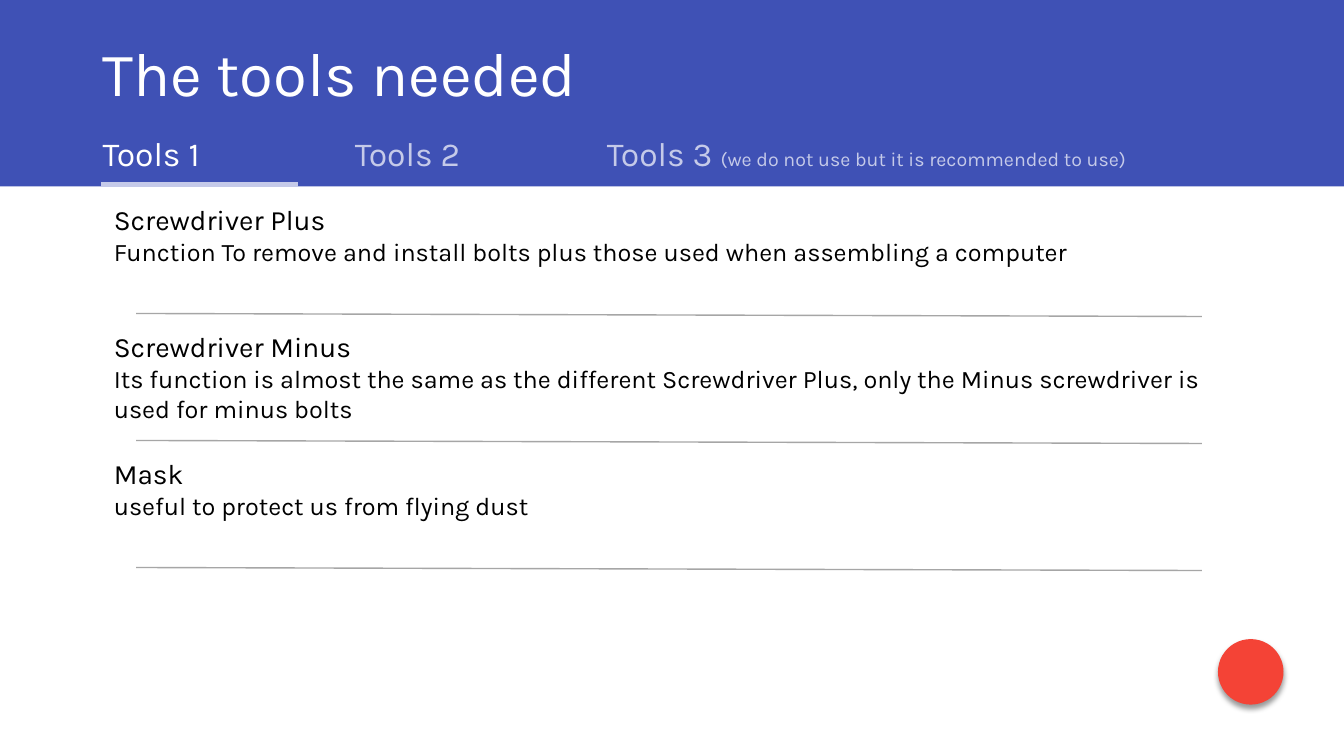
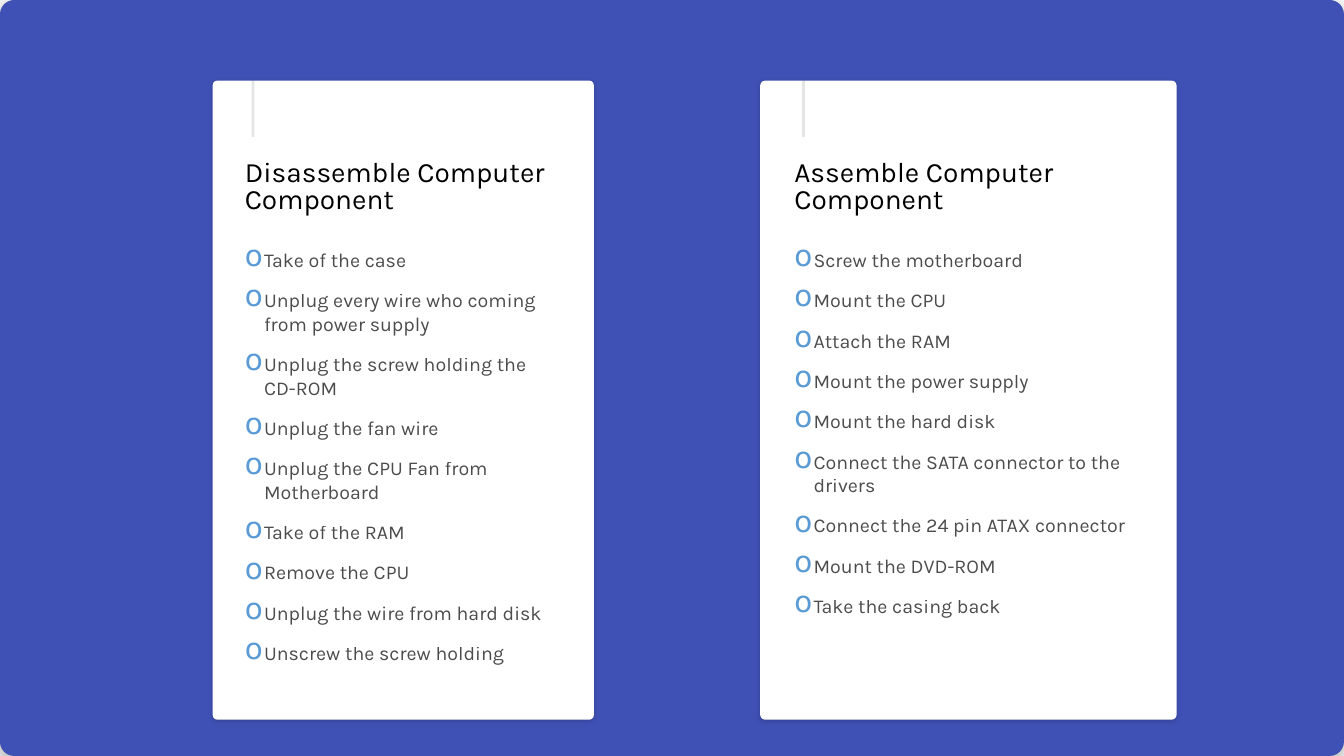
"""Build two slides on computer assembly: the tools needed, and the two step lists."""
from dataclasses import dataclass

from lxml.etree import SubElement
from pptx import Presentation
from pptx.dml.color import RGBColor as Rgb
from pptx.enum.shapes import MSO_CONNECTOR as Link, MSO_SHAPE as Shape
from pptx.enum.text import MSO_ANCHOR as Anchor, MSO_AUTO_SIZE as AutoSize
from pptx.oxml.ns import qn
from pptx.util import Inches, Pt


@dataclass(frozen=True)
class Theme:
    """Colours, font and type sizes of the deck."""
    font: str = "Karla"
    indigo: str = "3F51B5"
    pale: str = "C5CAE9"
    red: str = "F44336"
    bullet: str = "5B9BD5"
    rule: str = "A6A6A6"
    white: str = "FFFFFF"
    black: str = "000000"
    title: int = 44
    tab: int = 24
    heading: int = 20
    body: int = 18
    small: int = 14


T = Theme()
WIDTH, HEIGHT = 13.33, 7.5

TITLE = "The tools needed"
TABS = [
    ("Tools 1", "", 2.29),
    ("Tools 2", "", 2.29),
    ("Tools 3 ", "(we do not use but it is recommended to use)", 7.4),
]
TOOLS = [
    ("Screwdriver Plus",
     "Function To remove and install bolts plus those used when assembling a computer", 0.74),
    ("Screwdriver Minus",
     "Its function is almost the same as the different Screwdriver Plus, "
     "only the Minus screwdriver is used for minus bolts", 1.04),
    ("Mask", "useful to protect us from flying dust", 0.74),
]
CARDS = [
    dict(left=2.11, width=3.78, text_left=2.33, list_width=3.29, mark=2.51,
         heading="Disassemble Computer Component",
         steps=["Take of the case", "Unplug every wire who coming from power supply",
                "Unplug the screw holding the CD-ROM", "Unplug the fan wire",
                "Unplug the CPU Fan from Motherboard", "Take of the RAM", "Remove the CPU",
                "Unplug the wire from hard disk", "Unscrew the screw holding"]),
    dict(left=7.54, width=4.13, text_left=7.78, list_width=3.59, mark=7.97,
         heading="Assemble Computer Component",
         steps=["Screw the motherboard", "Mount the CPU", "Attach the RAM",
                "Mount the power supply", "Mount the hard disk",
                "Connect the SATA connector to the drivers",
                "Connect the 24 pin ATAX connector", "Mount the DVD-ROM",
                "Take the casing back"]),
]


def set_opacity(element, percent):
    color = next(element.iter(qn("a:srgbClr")))
    SubElement(color, qn("a:alpha"), val=str(percent * 1000))


def add_block(shapes, kind, box, fill, shadow=None, corner=None):
    block = shapes.add_shape(kind, *map(Inches, box))
    block.fill.solid()
    block.fill.fore_color.rgb = Rgb.from_string(fill)
    block.line.fill.background()
    block.shadow.inherit = False
    if corner is not None:
        block.adjustments[0] = corner
    if shadow:
        opacity, blur, distance = shadow
        effects = block.element.spPr.find(qn("a:effectLst"))
        outer = SubElement(effects, qn("a:outerShdw"), blurRad=str(Pt(blur)),
                           dist=str(Pt(distance)), dir="5400000", algn="t", rotWithShape="0")
        SubElement(outer, qn("a:srgbClr"), val=T.black)
        set_opacity(outer, opacity)


def add_rule(shapes, start, end, color, weight, opacity=None):
    rule = shapes.add_connector(Link.STRAIGHT, *map(Inches, start + end))
    rule.line.color.rgb = Rgb.from_string(color)
    rule.line.width = Pt(weight)
    if opacity:
        set_opacity(rule.element.spPr, opacity)
    SubElement(rule.element.spPr, qn("a:effectLst"))


def add_text(shapes, box, paragraphs, color, spacing=None, grow=False, anchor=Anchor.TOP,
             bulleted=False, opacity=None):
    """Write paragraphs, each a list of (text, size) runs."""
    frame = shapes.add_textbox(*map(Inches, box)).text_frame
    frame.word_wrap = True
    frame.vertical_anchor = anchor
    frame.auto_size = AutoSize.SHAPE_TO_FIT_TEXT if grow else AutoSize.NONE
    for index, runs in enumerate(paragraphs):
        paragraph = frame.paragraphs[0] if index == 0 else frame.add_paragraph()
        if spacing:
            paragraph.line_spacing = spacing
        if bulleted:
            if index:
                paragraph.space_before = Pt(12)
            add_bullet(paragraph)
        for text, size in runs:
            run = paragraph.add_run()
            run.text = text
            run.font.name = T.font
            run.font.size = Pt(size)
            run.font.color.rgb = Rgb.from_string(color)
            if opacity:
                set_opacity(run._r, opacity)


def add_bullet(paragraph):
    properties = paragraph._p.get_or_add_pPr()
    properties.set("marL", str(Inches(0.19)))
    properties.set("indent", str(Inches(-0.19)))
    color = SubElement(properties, qn("a:buClr"))
    SubElement(color, qn("a:srgbClr"), val=T.bullet)
    SubElement(properties, qn("a:buSzPct"), val="150000")
    SubElement(properties, qn("a:buChar"), char="o")


def build_tools(shapes):
    for index, (name, use, height) in enumerate(TOOLS):
        top = 1.96 + 1.26 * index
        entry = shapes.add_group_shape().shapes
        add_text(entry, (1.03, top, 11.39, height),
                 [[(name, T.heading)], [(use, T.body)]], T.black, grow=True)
        add_rule(entry, (1.35, top + 1.15), (11.92, top + 1.18), T.rule, 1)
    for top, height in ((1.18, 0.67), (0, 1.18)):
        add_block(shapes, Shape.RECTANGLE, (0, top, WIDTH, height), T.indigo)
    add_text(shapes, (0.92, 0.17, 11.5, 1.18), [[(TITLE, T.title)]], T.white,
             spacing=0.9, anchor=Anchor.MIDDLE)
    for index, (label, remark, width) in enumerate(TABS):
        runs = [(label, T.tab)] + ([(remark, T.small)] if remark else [])
        add_text(shapes, (0.92 + 2.5 * index, 1.27, width, 0.5), [runs],
                 T.pale if index else T.white, grow=True)
    add_rule(shapes, (1, 1.83), (2.96, 1.83), T.pale, 3)
    add_block(shapes, Shape.OVAL, (12.08, 6.34, 0.65, 0.65), T.red, shadow=(40, 4, 3))


def build_steps(shapes):
    add_block(shapes, Shape.ROUNDED_RECTANGLE, (0, 0, WIDTH, HEIGHT), T.indigo,
              shadow=(40, 17, 5), corner=0.019)
    for card in CARDS:
        parts = shapes.add_group_shape().shapes
        left, width, text_left = card["left"], card["width"], card["text_left"]
        add_block(parts, Shape.ROUNDED_RECTANGLE, (left, 0.8, width, 6.34), T.white,
                  shadow=(15, 3, 1), corner=0.012)
        add_text(parts, (text_left, 1.55, left + width - text_left, 0.75),
                 [[(card["heading"], T.heading)]], T.black, spacing=0.8)
        add_text(parts, (text_left, 2.41, card["list_width"], 4.96),
                 [[(step, T.small)] for step in card["steps"]], T.black,
                 bulleted=True, opacity=70)
        add_rule(parts, (card["mark"], 0.8), (card["mark"], 1.36), T.black, 2, opacity=10)


def main():
    deck = Presentation()
    deck.slide_width, deck.slide_height = Inches(WIDTH), Inches(HEIGHT)
    for build in (build_tools, build_steps):
        build(deck.slides.add_slide(deck.slide_layouts[6]).shapes)
    deck.save("out.pptx")


if __name__ == "__main__":
    main()
